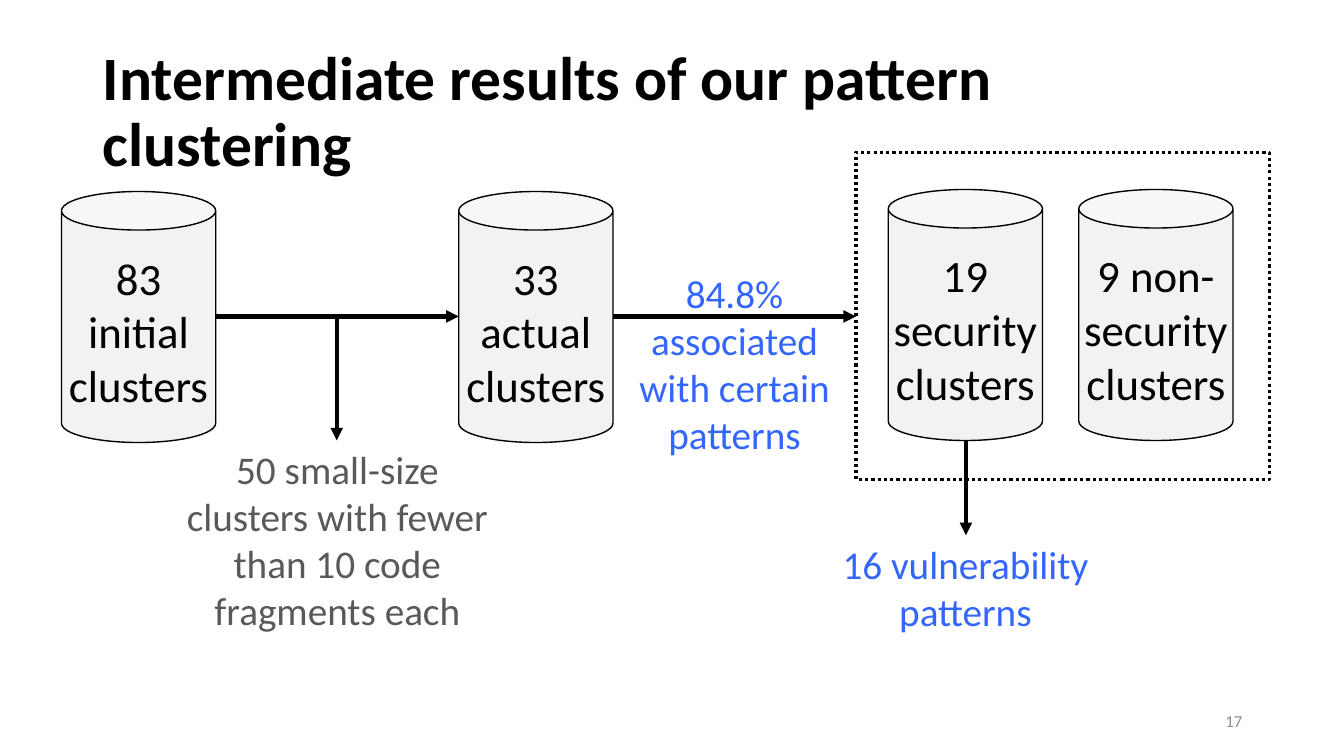
from lxml import etree
from pptx import Presentation
from pptx.dml.color import RGBColor
from pptx.enum.dml import MSO_LINE as Dash
from pptx.enum.shapes import MSO_CONNECTOR as Conn, MSO_SHAPE as Form
from pptx.enum.text import MSO_ANCHOR as Anchor, PP_ALIGN as Align
from pptx.oxml.ns import qn
from pptx.util import Inches, Pt

BLACK = RGBColor(0, 0, 0)
BLUE = RGBColor(0x33, 0x66, 0xFF)
DARK = RGBColor(0x59, 0x59, 0x59)
GRAY = RGBColor(0x8C, 0x8C, 0x8C)
PALE = RGBColor(0xF2, 0xF2, 0xF2)


class Board:
    """Draws styled elements on the current slide."""

    font = "Calibri"
    ink = BLACK
    inset = dict(margin_left=0, margin_right=0,
                 margin_top=Inches(0.2), margin_bottom=Inches(0.05))

    def __init__(self, slide):
        self.slide = slide

    def apply(self, item, style):
        for key, value in style.items():
            setattr(item, key, value)

    def label(self, shape, text, size, color, align=Align.CENTER,
              anchor=Anchor.TOP, bold=False, space=None, **frame):
        body = shape.text_frame
        self.apply(body, dict(word_wrap=True, vertical_anchor=anchor, **frame))
        para = body.paragraphs[0]
        self.apply(para, dict(alignment=align, line_spacing=space))
        run = para.add_run()
        run.text = text
        self.apply(run.font, dict(name=self.font, size=Pt(size), bold=bold))
        run.font.color.rgb = color

    def text(self, box, *words, **style):
        shape = self.slide.shapes.add_textbox(*map(Inches, box))
        self.label(shape, *words, **style)

    def shape(self, form, box, width, fill=None, dash=None):
        shape = self.slide.shapes.add_shape(form, *map(Inches, box))
        shape.shadow.inherit = False
        if fill is None:
            shape.fill.background()
        else:
            shape.fill.solid()
            shape.fill.fore_color.rgb = fill
        self.apply(shape.line, dict(width=Pt(width), dash_style=dash))
        shape.line.color.rgb = self.ink
        return shape

    def can(self, left, top, text):
        shape = self.shape(Form.CAN, (left, top, 1.53, 2.49), 1, PALE)
        self.label(shape, text, 32, self.ink, **self.inset)

    def line(self, start, end, head=True):
        line = self.slide.shapes.add_connector(
            Conn.STRAIGHT, *map(Inches, start + end))
        line.line.width = Pt(3)
        line.line.color.rgb = self.ink
        if head:
            etree.SubElement(line.get_or_add_ln(), qn("a:tailEnd"),
                             type="triangle")
        etree.SubElement(line.element.spPr, qn("a:effectLst"))


def main():
    deck = Presentation()
    deck.slide_width, deck.slide_height = Inches(13.33), Inches(7.5)
    board = Board(deck.slides.add_slide(deck.slide_layouts[6]))

    board.text((0.92, 0.4, 11.5, 1.45),
               "Intermediate results of our pattern clustering", 44, BLACK,
               align=Align.LEFT, anchor=Anchor.MIDDLE, bold=True, space=0.9)
    board.text((9.42, 6.95, 3, 0.4), "17", 12, GRAY,
               align=Align.RIGHT, anchor=Anchor.MIDDLE)

    for box, text, color in (
        ((6.08, 2.62, 2.41, 1.99),
         "84.8% associated with certain patterns", BLUE),
        ((1.7, 4.37, 3.29, 1.99),
         "50 small-size clusters with fewer than 10 code fragments each", DARK),
        ((7.93, 5.31, 3.29, 1.04), "16 vulnerability patterns", BLUE),
    ):
        board.text(box, text, 28, color)

    for left, top, text in (
        (0.61, 1.9, "83 initial clusters"),
        (4.55, 1.9, "33 actual clusters"),
        (8.81, 1.88, "19 security clusters"),
        (10.7, 1.88, "9 non-security clusters"),
    ):
        board.can(left, top, text)

    board.shape(Form.RECTANGLE, (8.49, 1.51, 4.1, 3.25), 2.25,
                dash=Dash.ROUND_DOT)

    fork = (3.34, 3.14)
    board.line((2.14, 3.14), fork, head=False)
    for start, end in (
        (fork, (4.55, 3.14)),
        (fork, (3.34, 4.37)),
        ((6.08, 3.14), (8.49, 3.14)),
        ((9.58, 4.37), (9.58, 5.31)),
    ):
        board.line(start, end)

    deck.save("out.pptx")


if __name__ == "__main__":
    main()
